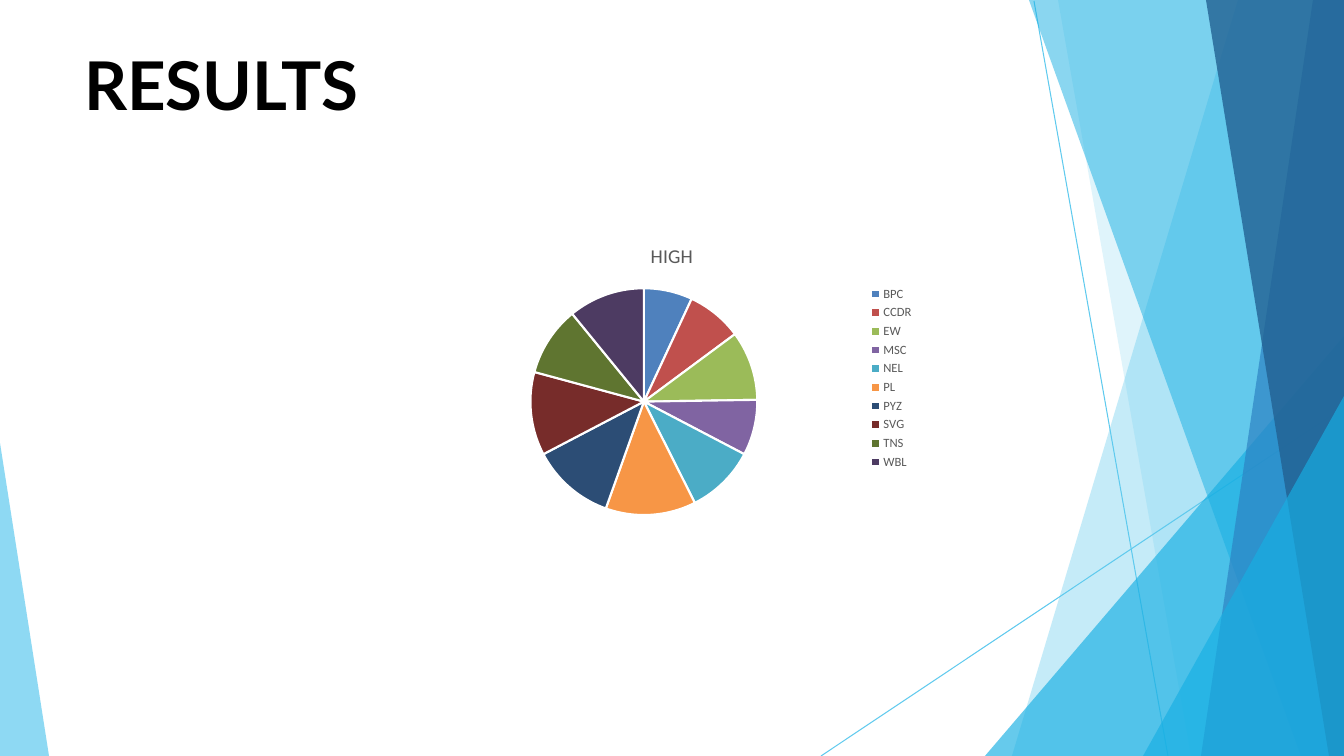
from lxml.etree import SubElement
from pptx import Presentation
from pptx.chart.data import CategoryChartData as PieData
from pptx.dml.color import RGBColor
from pptx.enum.chart import XL_CHART_TYPE as Kind, XL_LEGEND_POSITION as Side
from pptx.enum.shapes import MSO_CONNECTOR as Link
from pptx.enum.text import MSO_ANCHOR as Anchor, PP_ALIGN as Align
from pptx.oxml.ns import qn
from pptx.util import Pt

PX = 914400 / 100.8
WIDE, HIGH = 1344, 756


def px(n):
    return round(n * PX)


def paint(color, hue):
    color.rgb = RGBColor.from_string(hue)


deck = Presentation()
deck.slide_width, deck.slide_height = px(WIDE), px(HIGH)
slide = deck.slides.add_slide(deck.slide_layouts[5])
shapes = slide.shapes

# Thin crossing lines
for x1, y1, x2, y2 in [(1034, 1, 1168, HIGH), (WIDE, 407, 821, HIGH)]:
    line = shapes.add_connector(Link.STRAIGHT, px(x1), px(y1), px(x2), px(y2))
    paint(line.line.color, "5FCAEE")
    line.line.width = Pt(0.75)
    SubElement(line._element.spPr, qn("a:effectLst"))

# Translucent facets: corners, colour, opacity in percent
right = [(WIDE, HIGH), (WIDE, 0)]
facets = [
    ([(1238, 0), (1012, HIGH)] + right, "5FCAEE", 36),
    ([(1058, 0), (1191, HIGH)] + right, "5FCAEE", 20),
    ([(WIDE, 336), (985, HIGH), (WIDE, HIGH)], "17AFE3", 66),
    ([(1029, 0), (1301, HIGH)] + right, "17AFE3", 50),
    ([(1313, 0), (1201, HIGH)] + right, "2D83C3", 70),
    ([(1206, 0), (1329, HIGH)] + right, "226192", 80),
    ([(WIDE, 396), (1143, HIGH), (WIDE, HIGH)], "17AFE3", 66),
    ([(0, 443), (0, HIGH), (49, HIGH)], "5FCAEE", 70),
]
for dots, hue, alpha in facets:
    pen = shapes.build_freeform(*dots[0], scale=PX)
    pen.add_line_segments(dots[1:], close=True)
    facet = pen.convert_to_shape()
    facet.shadow.inherit = False
    facet.line.fill.background()
    facet.fill.solid()
    paint(facet.fill.fore_color, hue)
    tint = facet._element.spPr.find(qn("a:solidFill"))[0]
    SubElement(tint, qn("a:alpha"), val=str(alpha * 1000))

# Title, in front of the facets
title = shapes.title
shapes._spTree.append(title._element)
title.left, title.top, title.width, title.height = map(px, (84, 42, 1177, 84))
frame = title.text_frame
frame.text = "RESULTS"
frame.margin_left = frame.margin_right = 0
frame.margin_top = frame.margin_bottom = 0
frame.vertical_anchor = Anchor.MIDDLE
head = frame.paragraphs[0]
head.alignment = Align.LEFT
font = head.runs[0].font
font.name, font.size, font.bold = "Lato", Pt(48), True
paint(font.color, "000000")

# Pie chart
slices = [
    ("BPC", 7, "4F81BD"), ("CCDR", 8, "C0504D"), ("EW", 10, "9BBB59"),
    ("MSC", 8, "8064A2"), ("NEL", 10, "4BACC6"), ("PL", 13, "F79646"),
    ("PYZ", 12, "2C4D75"), ("SVG", 12, "772C2A"), ("TNS", 10, "5F7530"),
    ("WBL", 11, "4D3B62"),
]
names, vals, hues = zip(*slices)
data = PieData()
data.categories = names
data.add_series("HIGH", vals)
box = map(px, (420, 227, 504, 302))
chart = shapes.add_chart(Kind.PIE, *box, data).chart
chart.font.name, chart.font.size = "Calibri", Pt(10)
paint(chart.font.color, "000000")

chart.has_title = True
label = chart.chart_title.text_frame
label.text = "HIGH"
chart.chart_title.include_in_layout = False
chart.has_legend = True
legend = chart.legend
legend.position = Side.RIGHT
legend.include_in_layout = False
for font, size in [(label.paragraphs[0].runs[0].font, 14), (legend.font, 9)]:
    font.name, font.size, font.bold = "Calibri", Pt(size), False
    paint(font.color, "595959")

plot = chart.plots[0]
plot.vary_by_categories = True
for i, hue in enumerate(hues):
    look = plot.series[0].points[i].format
    look.fill.solid()
    paint(look.fill.fore_color, hue)
    paint(look.line.color, "FFFFFF")
    look.line.width = Pt(1.5)

deck.save("out.pptx")
